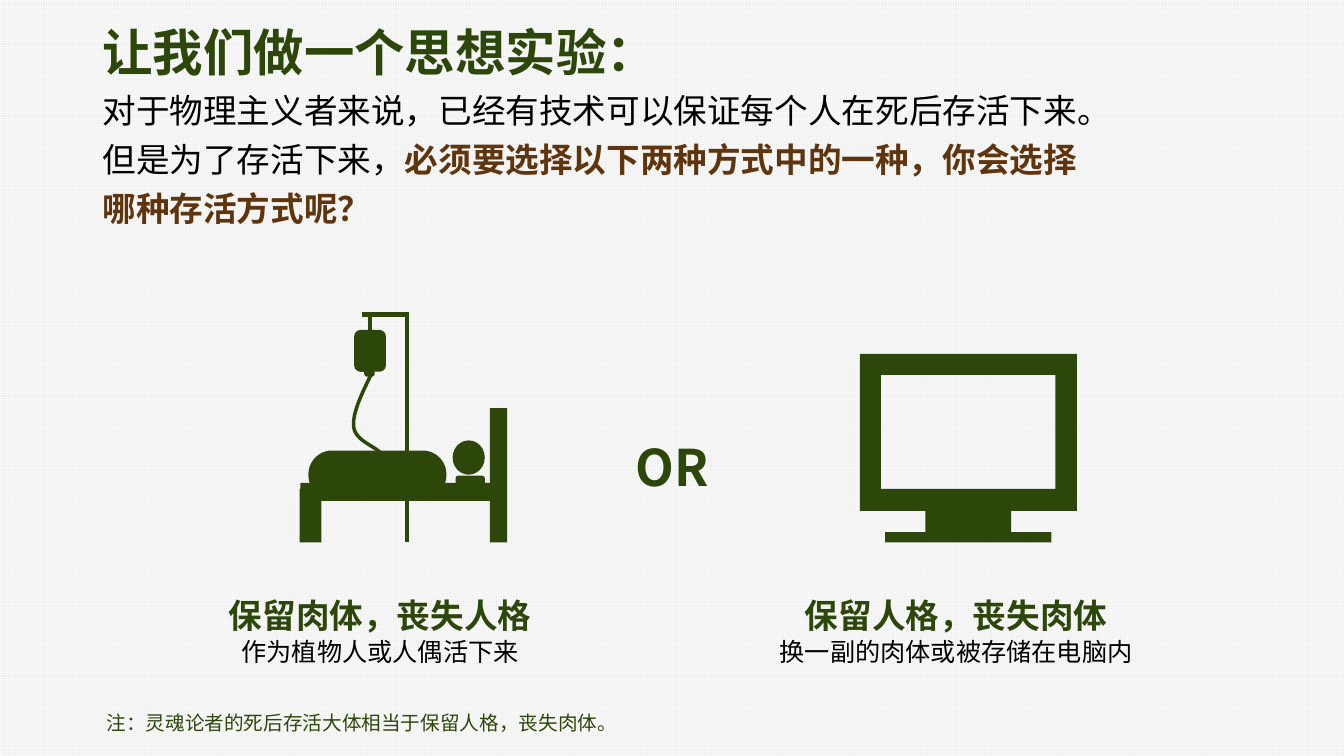
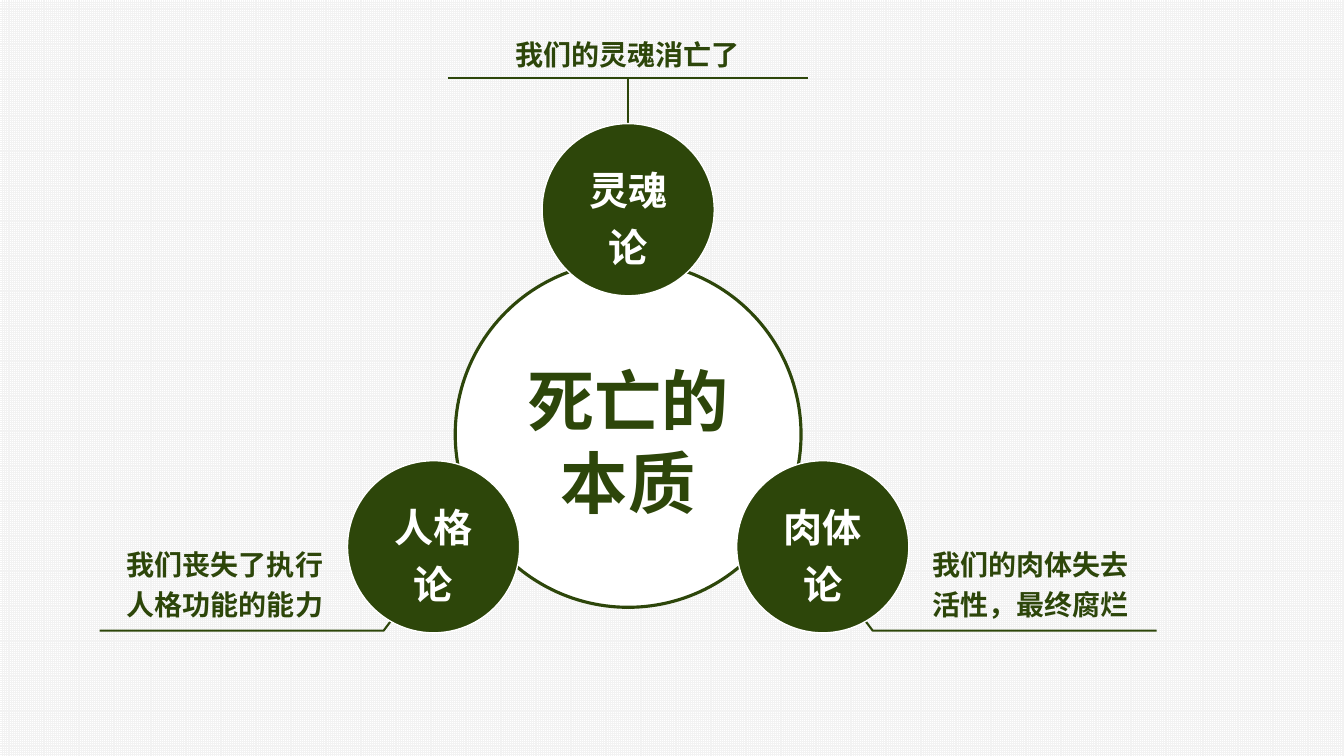
from dataclasses import dataclass
from math import cos, radians, sin
from typing import NamedTuple, Optional, Sequence

from lxml.etree import SubElement
from pptx import Presentation
from pptx.dml.color import RGBColor
from pptx.enum.dml import MSO_PATTERN
from pptx.enum.shapes import MSO_CONNECTOR, MSO_SHAPE
from pptx.enum.text import MSO_ANCHOR, PP_ALIGN as Align
from pptx.oxml.ns import qn
from pptx.util import Pt


@dataclass(frozen=True)
class Theme:
    green: RGBColor = RGBColor(0x2D, 0x46, 0x0A)
    brown: RGBColor = RGBColor(0x5F, 0x35, 0x0E)
    black: RGBColor = RGBColor(0, 0, 0)
    white: RGBColor = RGBColor(255, 255, 255)
    grid: RGBColor = RGBColor(0xF2, 0xF2, 0xF2)
    font: str = "Noto Sans CJK SC"
    hub: int = 48
    title: int = 36
    node: int = 28
    heading: int = 24
    label: int = 20
    caption: int = 18
    note: int = 14
    single: float = 1.22
    loose: float = 1.46


THEME = Theme()


class Box(NamedTuple):
    left: float
    top: float
    width: float
    height: float


class Margins(NamedTuple):
    left: float = 7.2
    top: float = 3.6
    right: float = 7.2
    bottom: float = 3.6


class Point(NamedTuple):
    x: float
    y: float


class Run(NamedTuple):
    text: str
    size: int
    color: RGBColor = THEME.green
    bold: bool = True


class Option(NamedTuple):
    box: Box
    heading: str
    detail: str


class Theory(NamedTuple):
    name: str
    angle: int
    claim: str
    claim_box: Box
    align: Align


OPTIONS = (
    Option(Box(151, 421, 241, 58), "保留肉体，丧失人格", "作为植物人或人偶活下来"),
    Option(Box(529, 421, 308, 58), "保留人格，丧失肉体", "换一副的肉体或被存储在电脑内"),
)

THEORIES = (
    Theory("灵魂论", -90, "我们的灵魂消亡了", Box(355.5, 13, 187, 50), Align.CENTER),
    Theory("肉体论", 30, "我们的肉体失去活性，最终腐烂", Box(655.5, 377, 163, 79), Align.CENTER),
    Theory("人格论", 150, "我们丧失了执行人格功能的能力", Box(82, 377, 163, 79), Align.LEFT),
)

HUB = Point(448.7, 310.3)
HUB_RADIUS = 123.5
NODE_RADIUS = 61.5
ORBIT = 160.5
CLAIM_MARGINS = Margins(8.6, 8.6, 10, 12)


def write(shape, paragraphs: Sequence[Sequence[Run]], spacing: float = THEME.single,
          align: Align = Align.LEFT, margins: Margins = Margins(),
          anchor: MSO_ANCHOR = MSO_ANCHOR.TOP) -> None:
    frame = shape.text_frame
    frame.word_wrap = True
    frame.vertical_anchor = anchor
    frame.margin_left, frame.margin_top, frame.margin_right, frame.margin_bottom = map(Pt, margins)
    for index, runs in enumerate(paragraphs):
        paragraph = frame.add_paragraph() if index else frame.paragraphs[0]
        paragraph.alignment = align
        paragraph.line_spacing = Pt(round(runs[0].size * spacing, 1))
        for item in runs:
            run = paragraph.add_run()
            run.text = item.text
            run.font.size = Pt(item.size)
            run.font.bold = item.bold
            run.font.color.rgb = item.color
            run.font.name = THEME.font
            SubElement(run.font._element, qn("a:ea"), typeface=THEME.font)


def add_text(slide, box: Box, paragraphs: Sequence[Sequence[Run]], **style) -> None:
    write(slide.shapes.add_textbox(*map(Pt, box)), paragraphs, **style)


def paint(shape, fill: Optional[RGBColor], line: Optional[RGBColor], width: float) -> None:
    shape.shadow.inherit = False
    if fill is None:
        shape.fill.background()
    else:
        shape.fill.solid()
        shape.fill.fore_color.rgb = fill
    if line is None:
        shape.line.fill.background()
    else:
        shape.line.color.rgb = line
        shape.line.width = Pt(width)


def add_preset(slide, preset: MSO_SHAPE, box: Box, fill: RGBColor = THEME.green,
               line: Optional[RGBColor] = None, width: float = 1,
               rounding: Optional[float] = None):
    shape = slide.shapes.add_shape(preset, *map(Pt, box))
    if rounding is not None:
        shape.adjustments[0] = rounding
    paint(shape, fill, line, width)
    return shape


def add_circle(slide, center: Point, radius: float, fill: RGBColor, line: RGBColor, width: float):
    box = Box(center.x - radius, center.y - radius, 2 * radius, 2 * radius)
    return add_preset(slide, MSO_SHAPE.OVAL, box, fill, line, width)


def add_outline(slide, contours, fill: Optional[RGBColor] = None,
                line: Optional[RGBColor] = None, width: float = 1) -> None:
    scaled = [[(Pt(x), Pt(y)) for x, y in contour] for contour in contours]
    builder = slide.shapes.build_freeform(*scaled[0][0])
    for index, contour in enumerate(scaled):
        if index:
            builder.move_to(*contour[0])
        builder.add_line_segments(contour[1:], close=fill is not None)
    paint(builder.convert_to_shape(), fill, line, width)


def add_line(slide, start: Point, end: Point, width: float) -> None:
    connector = slide.shapes.add_connector(MSO_CONNECTOR.STRAIGHT, *map(Pt, (*start, *end)))
    connector.line.color.rgb = THEME.green
    connector.line.width = Pt(width)
    SubElement(connector._element.spPr, qn("a:effectLst"))


def curve(a: Point, b: Point, c: Point, d: Point, steps: int = 12) -> list[Point]:
    points = []
    for step in range(steps + 1):
        t = step / steps
        weights = ((1 - t) ** 3, 3 * t * (1 - t) ** 2, 3 * t * t * (1 - t), t ** 3)
        points.append(Point(sum(w * p.x for w, p in zip(weights, (a, b, c, d))),
                            sum(w * p.y for w, p in zip(weights, (a, b, c, d)))))
    return points


def draw_patient(slide) -> None:
    for start, end in ((Point(291, 224.6), Point(291, 387.4)),
                       (Point(258.5, 224.6), Point(292.4, 224.6)),
                       (Point(264.4, 224.6), Point(264.4, 252.7))):
        add_line(slide, start, end, 3)
    bend = Point(252.7, 305.3)
    tube = curve(Point(265.7, 266.4), Point(258.5, 280.8), Point(251.3, 295.9), bend)
    tube += curve(bend, Point(254.2, 315.4), Point(269.3, 319), Point(272.9, 324.7))[1:]
    add_outline(slide, [tube], line=THEME.green, width=2.5)
    rounded = MSO_SHAPE.ROUNDED_RECTANGLE
    add_preset(slide, rounded, Box(254.2, 236.9, 20.2, 27.4), line=THEME.green, width=2.5, rounding=0.17)
    add_preset(slide, rounded, Box(261.4, 263, 5, 4.8), line=THEME.green, width=2.5)
    add_outline(slide, [[(350, 291.6), (362.3, 291.6), (362.3, 387.4), (350, 387.4),
                         (350, 357.8), (229.7, 357.8), (229.7, 387.4), (214, 387.4),
                         (214, 349.2), (214.6, 349.2), (214.6, 344.9), (350, 344.9)]],
                fill=THEME.green)
    add_preset(slide, rounded, Box(220.3, 321.8, 98.6, 34.6), rounding=0.49)
    add_preset(slide, MSO_SHAPE.OVAL, Box(323.3, 314.6, 23, 24.5))
    add_preset(slide, rounded, Box(325.4, 339.8, 20.9, 12.2))


def draw_monitor(slide) -> None:
    screen = [(629.3, 267.8), (629.3, 349.2), (753.8, 349.2), (753.8, 267.8)]
    case = [(614.2, 252.7), (769.2, 252.7), (769.2, 365), (722.2, 365),
            (722.2, 380.2), (751, 380.2), (751, 387.4), (632.2, 387.4),
            (632.2, 380.2), (661, 380.2), (661, 365), (614.2, 365)]
    add_outline(slide, [screen, case], fill=THEME.green)


def build_experiment(slide) -> None:
    size = THEME.heading
    add_text(slide, Box(66.2, 2, 733, 138), [
        [Run("让我们做一个思想实验：", THEME.title)],
        [Run("对于物理主义者来说，已经有技术可以保证每个人在死后存活下来。", size, THEME.black, False)],
        [Run("但是为了存活下来，", size, THEME.black, False),
         Run("必须要选择以下两种方式中的一种，你会选择哪种存活方式呢？", size, THEME.brown)],
    ], spacing=THEME.loose)
    for option in OPTIONS:
        add_text(slide, option.box, [
            [Run(option.heading, size)],
            [Run(option.detail, THEME.caption, THEME.black, False)],
        ], align=Align.CENTER)
    draw_patient(slide)
    draw_monitor(slide)
    add_text(slide, Box(437, 307.5, 86.4, 51), [[Run("OR", THEME.title)]], align=Align.CENTER)
    add_text(slide, Box(69, 504, 845, 24.5),
             [[Run("注：灵魂论者的死后存活大体相当于保留人格，丧失肉体。", THEME.note, bold=False)]])


def build_theories(slide) -> None:
    add_line(slide, Point(HUB.x - 128.5, 55.6), Point(HUB.x + 128.5, 55.6), 1.5)
    add_line(slide, Point(HUB.x, 89), Point(HUB.x, 55.6), 1.5)
    for side in (-1, 1):
        leader = [(HUB.x + side * dx, y) for dx, y in ((149.5, 417), (174.7, 450.5), (377.5, 450.5))]
        add_outline(slide, [leader], line=THEME.green, width=1.5)
    hub = add_circle(slide, HUB, HUB_RADIUS, THEME.white, THEME.green, 2.25)
    write(hub, [[Run("死亡的本质", THEME.hub)]], align=Align.CENTER,
          margins=Margins(8, 8, 8, 0), anchor=MSO_ANCHOR.MIDDLE)
    for theory in THEORIES:
        angle = radians(theory.angle)
        center = Point(HUB.x + ORBIT * cos(angle), HUB.y + ORBIT * sin(angle))
        node = add_circle(slide, center, NODE_RADIUS, THEME.green, THEME.white, 1)
        write(node, [[Run(theory.name, THEME.node, THEME.white)]], spacing=THEME.loose,
              align=Align.CENTER, margins=Margins(4.5, 5, 4.5, 0), anchor=MSO_ANCHOR.MIDDLE)
        add_text(slide, theory.claim_box, [[Run(theory.claim, THEME.label)]],
                 spacing=THEME.loose, align=theory.align, margins=CLAIM_MARGINS)


def main() -> None:
    presentation = Presentation()
    presentation.slide_width, presentation.slide_height = Pt(960), Pt(540)
    background = presentation.slide_master.background.fill
    background.patterned()
    background.pattern = MSO_PATTERN.SMALL_GRID
    background.fore_color.rgb = THEME.grid
    background.back_color.rgb = THEME.white
    blank = presentation.slide_layouts[6]
    for build in (build_experiment, build_theories):
        build(presentation.slides.add_slide(blank))
    presentation.save("out.pptx")


if __name__ == "__main__":
    main()
